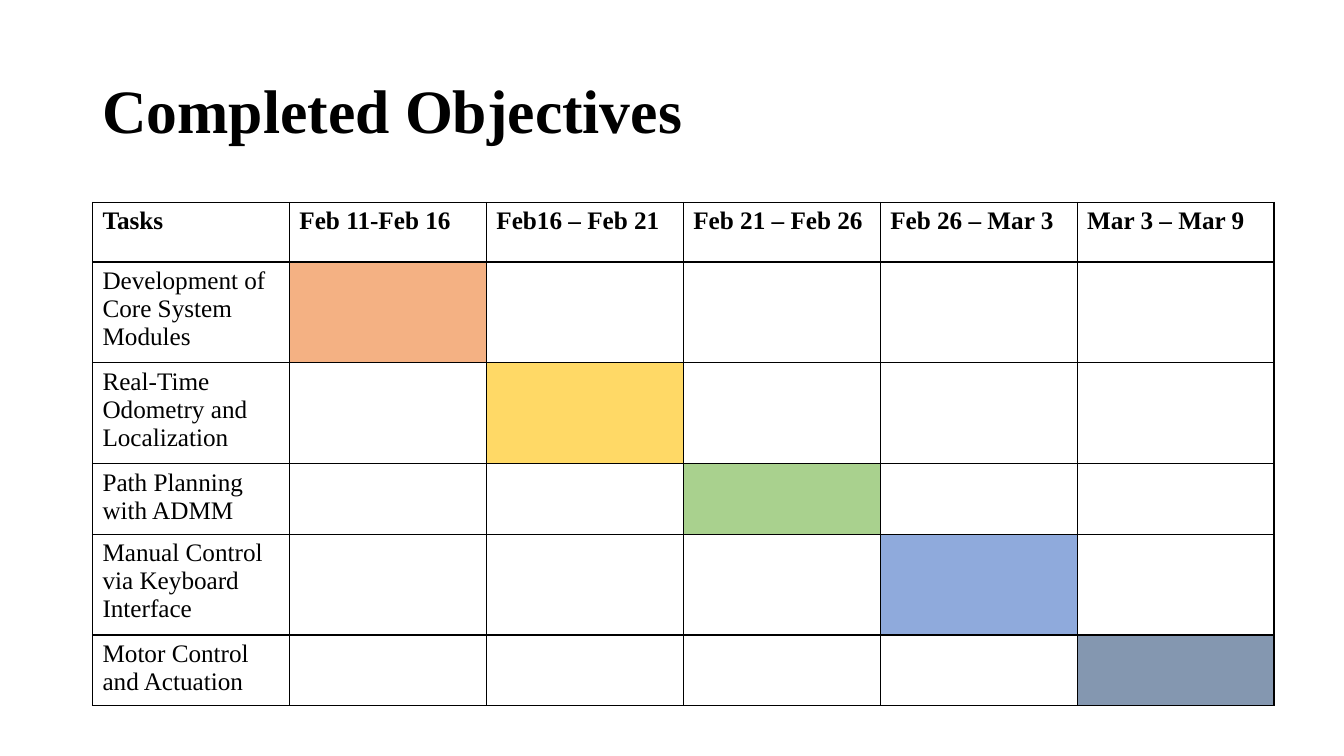
from lxml.etree import SubElement
from pptx import Presentation
from pptx.dml.color import RGBColor
from pptx.enum.text import MSO_ANCHOR as Anchor
from pptx.oxml.ns import qn
from pptx.util import Cm, Pt

FONT = "Times New Roman"
COLORS = {
    "ink": "000000",
    "orange": "F4B183",
    "yellow": "FFD966",
    "green": "A9D18E",
    "blue": "8FAADC",
    "slate": "8497B0",
}
HEADINGS = ["Tasks", "Feb 11-Feb 16", "Feb16 – Feb 21", "Feb 21 – Feb 26",
            "Feb 26 – Mar 3", "Mar 3 – Mar 9"]
TASKS = [
    ("Development of Core System Modules", "orange"),
    ("Real-Time Odometry and Localization", "yellow"),
    ("Path Planning with ADMM", "green"),
    ("Manual Control via Keyboard Interface", "blue"),
    ("Motor Control and Actuation", "slate"),
]


def color(name):
    """Return the named colour."""
    return RGBColor.from_string(COLORS[name])


def write(frame, text, size, bold):
    """Put styled text into a text frame."""
    frame.text = text
    for para in frame.paragraphs:
        para.font.size = Pt(size)
        for span in para.runs:
            span.font.name = FONT
            span.font.size = Pt(size)
            span.font.bold = bold
            span.font.color.rgb = color("ink")


def add_borders(cell):
    """Draw a thin line on all four sides of a cell."""
    properties = cell._tc.get_or_add_tcPr()
    for position, side in enumerate(("a:lnL", "a:lnR", "a:lnT", "a:lnB")):
        line = SubElement(properties, qn(side), w=str(Pt(1)))
        fill = SubElement(line, qn("a:solidFill"))
        SubElement(fill, qn("a:srgbClr"), val=COLORS["ink"])
        properties.insert(position, line)


def add_title(page, left, top, width, height):
    """Place the slide title in the given box."""
    frame = page.shapes.add_textbox(left, top, width, height).text_frame
    frame.word_wrap = True
    frame.vertical_anchor = Anchor.MIDDLE
    write(frame, "Completed Objectives", 44, True)
    frame.paragraphs[0].line_spacing = 0.9


def add_schedule(page, left, top, width, height):
    """Place the schedule table, with one coloured period per task."""
    rows, columns = len(TASKS) + 1, len(HEADINGS)
    table = page.shapes.add_table(rows, columns, left, top, width, height).table
    table.horz_banding = False
    table.first_row = False
    for cell in table.iter_cells():
        cell.fill.background()
        add_borders(cell)
    for column, heading in enumerate(HEADINGS):
        write(table.cell(0, column).text_frame, heading, 18, True)
    for row, (task, period_color) in enumerate(TASKS, start=1):
        write(table.cell(row, 0).text_frame, task, 18, False)
        period = table.cell(row, row)
        period.fill.solid()
        period.fill.fore_color.rgb = color(period_color)


def main():
    """Build and save the deck."""
    deck = Presentation()
    deck.slide_width, deck.slide_height = Cm(33.87), Cm(19.05)
    page = deck.slides.add_slide(deck.slide_layouts[6])
    add_title(page, Cm(2.33), Cm(1.01), Cm(29.21), Cm(3.68))
    add_schedule(page, Cm(2.33), Cm(5.1), Cm(29.78), Cm(9))
    deck.save("out.pptx")


if __name__ == "__main__":
    main()
